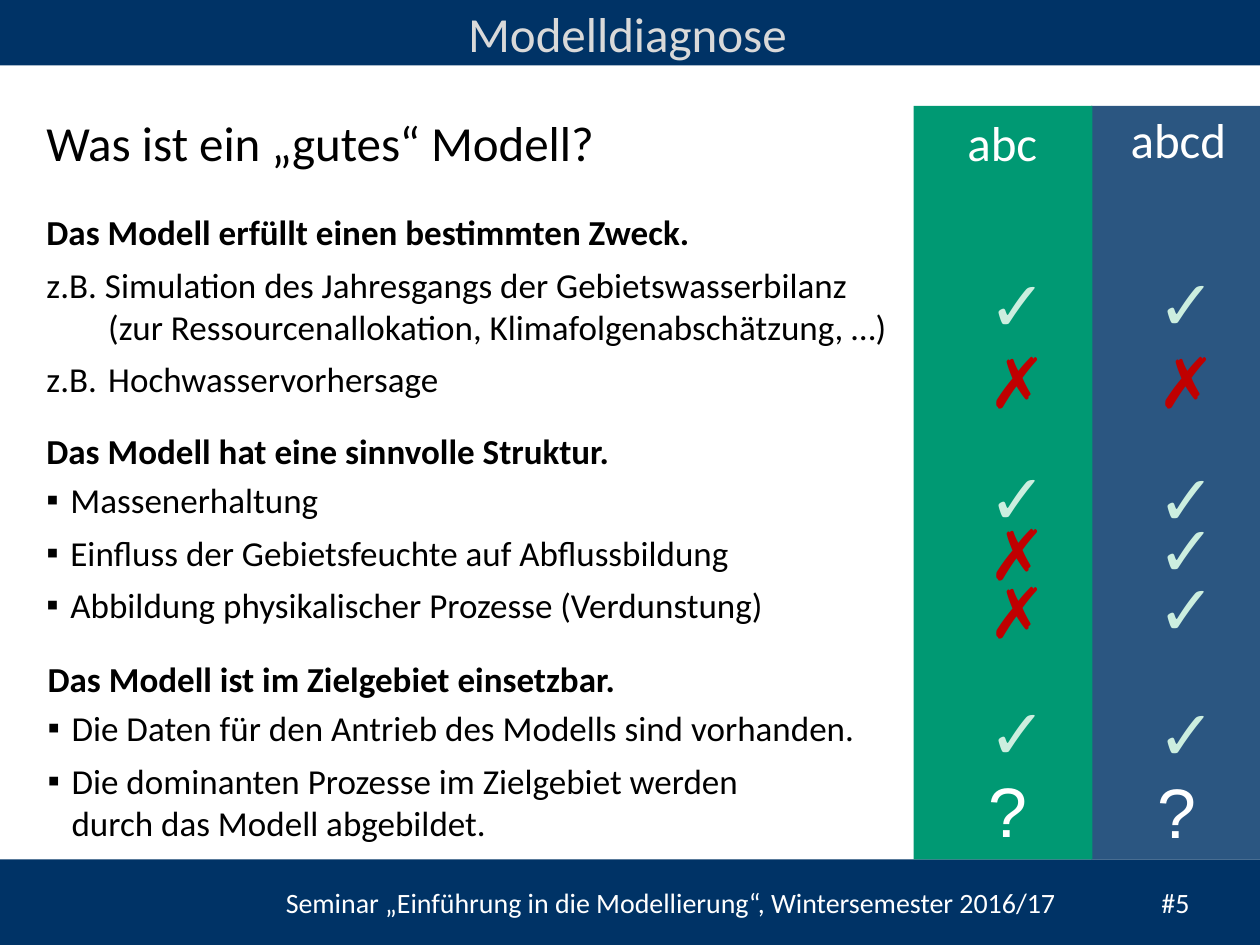
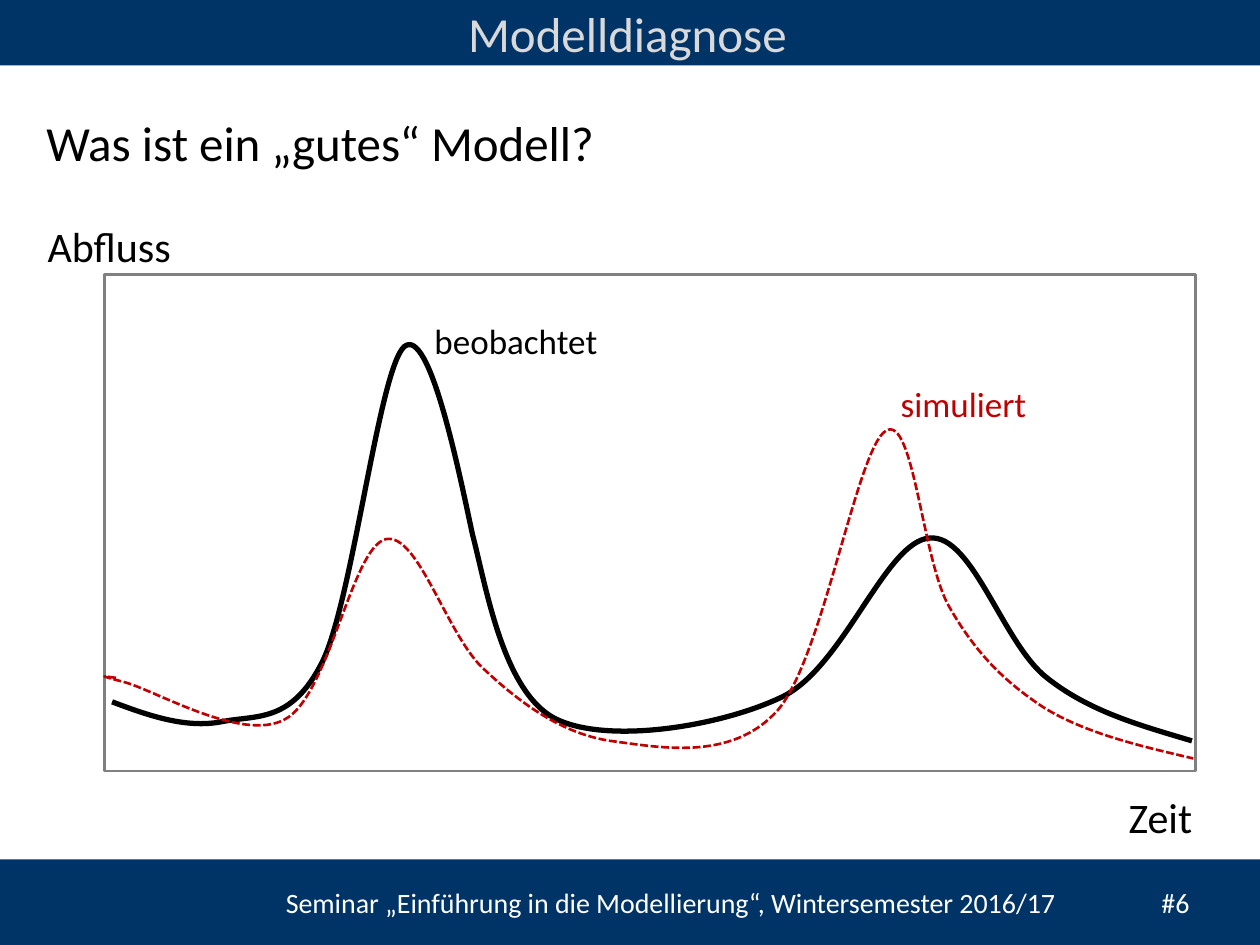
"""Build two slides on judging a model: a criteria checklist and a hydrograph sketch."""
from dataclasses import dataclass

from lxml import etree
from pptx import Presentation
from pptx import util as u
from pptx.dml.color import RGBColor
from pptx.enum import dml, shapes, text
from pptx.oxml import ns

COLORS = {
    "navy": "003366", "blue": "2B5681", "green": "009973", "white": "FFFFFF",
    "title": "D9D9D9", "black": "000000", "mint": "CCEEDF", "red": "C00000",
    "gray": "808080",
}
MARK_COLORS = {"✓": "mint", "✗": "red", "?": "white"}
SEMINAR = "Seminar „Einführung in die Modellierung“, Wintersemester 2016/17"
ALIGN = text.PP_ALIGN


@dataclass(frozen=True)
class ModelColumn:
    name: str
    fill: str
    left: float
    width: float
    name_left: float
    name_top: float
    mark_left: float
    marks: str
    mark_tops: tuple[float, ...]


@dataclass(frozen=True)
class TextBlock:
    paras: tuple[str, ...]
    left: float
    top: float
    width: float
    height: float
    bold: bool = False
    indent: float = 0
    bullet: str = ""


@dataclass(frozen=True)
class Curve:
    label: str
    color: str
    weight: float
    dash: dml.MSO_LINE | None
    label_left: float
    label_top: float
    points: tuple[tuple[float, float], ...]


COLUMNS = (
    ModelColumn("abcd", "blue", 8.66, 1.34, 8.77, 0.82, 9.09, "✓✗✓✓✓✓?",
                (2.02, 2.64, 3.57, 3.97, 4.44, 5.43, 6.05)),
    ModelColumn("abc", "green", 7.25, 1.42, 7.27, 0.84, 7.75, "✓✗✓✗✗✓?",
                (2.03, 2.64, 3.56, 4.0, 4.46, 5.42, 6.04)),
)

BLOCKS = (
    TextBlock(("Das Modell erfüllt einen bestimmten Zweck.",),
              0.27, 1.62, 6.62, 0.44, bold=True),
    TextBlock(("z.B. Simulation des Jahresgangs der Gebietswasserbilanz \n"
               "(zur Ressourcenallokation, Klimafolgenabschätzung, …)",
               "z.B.\tHochwasservorhersage"),
              0.27, 2.04, 7.01, 1.19, indent=0.49),
    TextBlock(("Das Modell hat eine sinnvolle Struktur.",),
              0.27, 3.36, 5.67, 0.44, bold=True),
    TextBlock(("Massenerhaltung",
               "Einfluss der Gebietsfeuchte auf Abflussbildung",
               "Abbildung physikalischer Prozesse (Verdunstung)"),
              0.27, 3.75, 7.01, 1.28, indent=0.19, bullet="▪"),
    TextBlock(("Das Modell ist im Zielgebiet einsetzbar.",),
              0.28, 5.17, 5.67, 0.44, bold=True),
    TextBlock(("Die Daten für den Antrieb des Modells sind vorhanden.",
               "Die dominanten Prozesse im Zielgebiet werden \n"
               "durch das Modell abgebildet."),
              0.28, 5.56, 6.93, 1.19, indent=0.19, bullet="▪"),
)

CURVES = (
    Curve("beobachtet", "black", 3, None, 3.35, 2.49, (
        (0.89, 5.57), (1.18, 5.68), (1.47, 5.78), (1.75, 5.73),
        (2.03, 5.67), (2.31, 5.75), (2.56, 5.25),
        (2.8, 4.76), (3.01, 2.92), (3.21, 2.75),
        (3.41, 2.59), (3.64, 3.73), (3.75, 4.24),
        (3.86, 4.66), (3.99, 5.48), (4.4, 5.7),
        (4.81, 5.91), (5.71, 5.77), (6.21, 5.53),
        (6.7, 5.29), (7.03, 4.29), (7.38, 4.27),
        (7.72, 4.24), (7.96, 5.11), (8.31, 5.38),
        (8.65, 5.65), (9.06, 5.76), (9.46, 5.88))),
    Curve("simuliert", "red", 1.5, dml.MSO_LINE.SQUARE_DOT, 7.05, 2.99, (
        (0.92, 5.38), (0.83, 5.37), (0.75, 5.35), (0.97, 5.41),
        (1.2, 5.46), (1.92, 5.9), (2.26, 5.71),
        (2.61, 5.53), (2.79, 4.35), (3.06, 4.28),
        (3.32, 4.22), (3.55, 5.06), (3.85, 5.32),
        (4.14, 5.59), (4.46, 5.82), (4.84, 5.88),
        (5.23, 5.93), (5.8, 6.05), (6.17, 5.64),
        (6.53, 5.23), (6.8, 3.56), (7.03, 3.42),
        (7.25, 3.28), (7.32, 4.44), (7.53, 4.81),
        (7.74, 5.18), (7.97, 5.41), (8.29, 5.62),
        (8.62, 5.82), (9.04, 5.92), (9.47, 6.02))),
)


def rgb(name: str) -> RGBColor:
    return RGBColor.from_string(COLORS[name])


def add_text(s, paras: str | tuple[str, ...], left: float, top: float, width: float,
             height: float, *, size: float = 20, color: str = "black",
             font: str = "Calibri", bold: bool = False, align: ALIGN = ALIGN.LEFT,
             after: float = 0, indent: float = 0, bullet: str = "", tab: float = 0,
             inset: float = 0.1, grow: bool = True) -> None:
    box = (u.Inches(v) for v in (left, top, width, height))
    tf = s.shapes.add_textbox(*box).text_frame
    tf.word_wrap = True
    tf.auto_size = text.MSO_AUTO_SIZE.SHAPE_TO_FIT_TEXT if grow else text.MSO_AUTO_SIZE.NONE
    tf.margin_left = tf.margin_right = u.Inches(inset)
    for i, para in enumerate((paras,) if isinstance(paras, str) else paras):
        p = tf.add_paragraph() if i else tf.paragraphs[0]
        p.text = para
        p.alignment = align
        p.space_after = u.Pt(after)
        for r in p.runs:
            r.font.name, r.font.size, r.font.bold = font, u.Pt(size), bold
            r.font.color.rgb = rgb(color)
        set_layout(p, indent, bullet, tab)


def set_layout(p, indent: float, bullet: str, tab: float) -> None:
    ppr = p._p.get_or_add_pPr()
    if indent:
        ppr.set("marL", str(u.Inches(indent)))
        ppr.set("indent", str(-u.Inches(indent)))
    if bullet:
        etree.SubElement(ppr, ns.qn("a:buFont"), typeface="Arial")
        etree.SubElement(ppr, ns.qn("a:buChar"), char=bullet)
    if tab:
        tabs = etree.SubElement(ppr, ns.qn("a:tabLst"))
        etree.SubElement(tabs, ns.qn("a:tab"), pos=str(u.Inches(tab)), algn="l")


def add_rect(s, left: float, top: float, width: float, height: float, *,
             fill: str = "", line: str = "") -> None:
    box = (u.Inches(v) for v in (left, top, width, height))
    sp = s.shapes.add_shape(shapes.MSO_SHAPE.RECTANGLE, *box)
    sp.shadow.inherit = False
    if fill:
        sp.fill.solid()
        sp.fill.fore_color.rgb = rgb(fill)
    else:
        sp.fill.background()
    if line:
        sp.line.color.rgb = rgb(line)
        sp.line.width = u.Pt(1.5)
    else:
        sp.line.fill.background()


def bend_segments(sp) -> None:
    """Turn every three straight segments into one cubic Bézier segment."""
    lines = list(sp._element.iter(ns.qn("a:lnTo")))
    for i in range(0, len(lines), 3):
        cubic = etree.Element(ns.qn("a:cubicBezTo"))
        lines[i].addprevious(cubic)
        for line in lines[i:i + 3]:
            cubic.append(line[0])
            line.getparent().remove(line)


def add_curve(s, curve: Curve) -> None:
    start, *rest = [(u.Inches(x), u.Inches(y)) for x, y in curve.points]
    builder = s.shapes.build_freeform(*start)
    builder.add_line_segments(rest, close=False)
    sp = builder.convert_to_shape()
    bend_segments(sp)
    sp.shadow.inherit = False
    sp.fill.background()
    sp.line.color.rgb = rgb(curve.color)
    sp.line.width = u.Pt(curve.weight)
    if curve.dash:
        sp.line.dash_style = curve.dash


def add_column(s, col: ModelColumn) -> None:
    add_rect(s, col.left, 0.84, col.width, 5.98, fill=col.fill)
    add_text(s, col.name, col.name_left, col.name_top, 1.06, 0.57,
             size=28, color="white", align=ALIGN.RIGHT)
    for mark, top in zip(col.marks, col.mark_tops):
        add_text(s, mark, col.mark_left, top, 0.55, 0.77,
                 size=40, color=MARK_COLORS[mark], font="Arial")


def new_slide(prs, number: int):
    s = prs.slides.add_slide(prs.slide_layouts[6])
    add_rect(s, 0, 0, 10, 0.52, fill="navy")
    add_rect(s, 0, 6.82, 10, 0.68, fill="navy")
    add_text(s, f"{SEMINAR}\t#{number}", 2.17, 6.98, 7.83, 0.37,
             size=16, color="white", tab=6.95)
    add_text(s, "Modelldiagnose", 0, -0.02, 9.96, 0.52, size=28, color="title",
             align=ALIGN.CENTER, inset=0, grow=False)
    add_text(s, "Was ist ein „gutes“ Modell?", 0.27, 0.84, 5.35, 0.57, size=28)
    return s


def build_checklist(prs) -> None:
    s = new_slide(prs, 5)
    for b in BLOCKS:
        add_text(s, b.paras, b.left, b.top, b.width, b.height, bold=b.bold, after=6,
                 indent=b.indent, bullet=b.bullet, tab=0 if b.bullet else b.indent)
    for col in COLUMNS:
        add_column(s, col)


def build_hydrograph(prs) -> None:
    s = new_slide(prs, 6)
    add_rect(s, 0.83, 2.18, 8.66, 3.94, line="gray")
    for curve in CURVES:
        add_curve(s, curve)
        add_text(s, curve.label, curve.label_left, curve.label_top, 2.36, 0.44,
                 color=curve.color)
    add_text(s, "Abfluss", 0.28, 1.7, 1.69, 0.5, size=24)
    add_text(s, "Zeit", 7.87, 6.23, 1.69, 0.5, size=24, align=ALIGN.RIGHT)


def main() -> None:
    prs = Presentation()
    prs.slide_width, prs.slide_height = u.Inches(10), u.Inches(7.5)
    build_checklist(prs)
    build_hydrograph(prs)
    prs.save("out.pptx")


if __name__ == "__main__":
    main()
